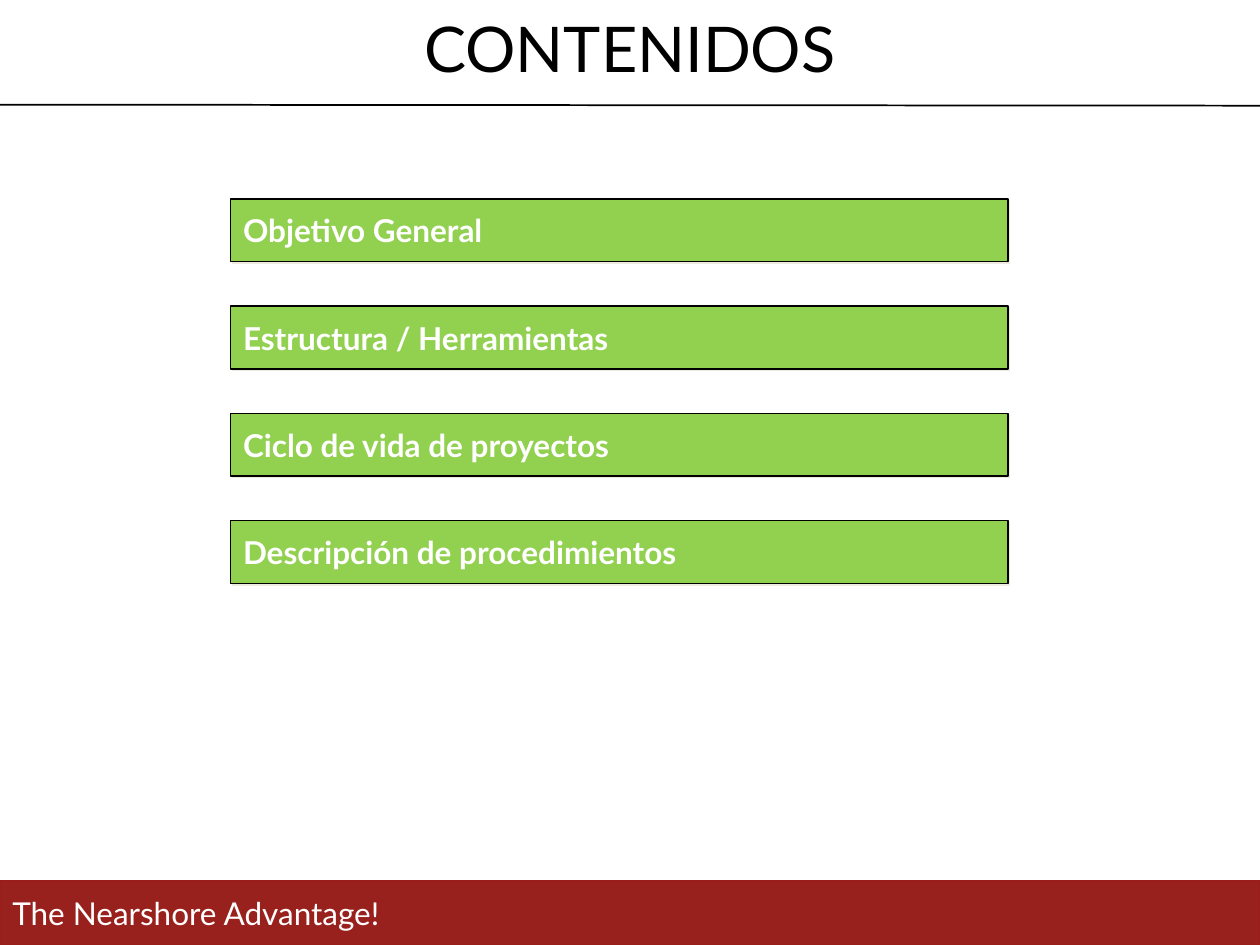
from dataclasses import dataclass

from lxml import etree
from pptx import Presentation, util as u
from pptx.dml.color import RGBColor
from pptx.enum import shapes, text
from pptx.oxml.ns import qn


@dataclass(frozen=True)
class Theme:
    """Colours, font and type sizes of the slide."""
    font: str = "Lato"
    black: str = "000000"
    white: str = "FFFFFF"
    green: str = "92D050"
    red: str = "99211D"
    red_line: str = "991D19"
    bar_shadow: str = "EEECE1"
    footer_shadow: str = "808080"
    title_size: int = 36
    body_size: int = 18


THEME = Theme()
TOPICS = [
    "Objetivo General",
    "Estructura / Herramientas",
    "Ciclo de vida de proyectos",
    "Descripción de procedimientos",
]


def set_text(sp, content, size=THEME.body_size, color=THEME.white, bold=False,
             align=text.PP_ALIGN.LEFT):
    """Write one formatted, vertically centred paragraph in a shape."""
    tf = sp.text_frame
    tf.word_wrap = True
    tf.auto_size = text.MSO_AUTO_SIZE.NONE
    tf.vertical_anchor = text.MSO_ANCHOR.MIDDLE
    p = tf.paragraphs[0]
    p.alignment = align
    r = p.add_run()
    r.text = content
    r.font.name = THEME.font
    r.font.size = u.Pt(size)
    r.font.bold = bold
    r.font.color.rgb = RGBColor.from_string(color)


def add_shadow(sp, color, distance, angle, opacity):
    """Give a shape an unblurred outer shadow."""
    sp.shadow.inherit = False
    effects = sp._element.spPr.find(qn("a:effectLst"))
    shadow = etree.SubElement(effects, qn("a:outerShdw"), dist=str(u.Pt(distance)),
                              dir=str(angle * 60000), rotWithShape="0")
    clr = etree.SubElement(shadow, qn("a:srgbClr"), val=color)
    etree.SubElement(clr, qn("a:alpha"), val=str(opacity * 1000))


def add_bar(s, left, top, width, height, fill, line):
    """Add a filled and outlined rectangle."""
    sp = s.shapes.add_shape(shapes.MSO_SHAPE.RECTANGLE, u.Cm(left), u.Cm(top),
                            u.Cm(width), u.Cm(height))
    sp.fill.solid()
    sp.fill.fore_color.rgb = RGBColor.from_string(fill)
    sp.line.color.rgb = RGBColor.from_string(line)
    sp.line.width = u.Pt(0.75)
    return sp


def add_rule(s, x1, y1, x2, y2):
    """Add a thin black line without a shadow."""
    line = s.shapes.add_connector(shapes.MSO_CONNECTOR.STRAIGHT, u.Cm(x1), u.Cm(y1),
                                  u.Cm(x2), u.Cm(y2))
    line.line.color.rgb = RGBColor.from_string(THEME.black)
    line.line.width = u.Pt(1)
    etree.SubElement(line._element.spPr, qn("a:effectLst"))


def add_title(s, content):
    """Place and fill the title placeholder."""
    title = s.shapes.title
    title.left, title.top = u.Cm(0), u.Cm(0)
    title.width, title.height = u.Cm(25.4), u.Cm(1.9)
    set_text(title, content, size=THEME.title_size, color=THEME.black,
             align=text.PP_ALIGN.CENTER)


def main():
    """Build the contents slide."""
    prs = Presentation()
    prs.slide_width, prs.slide_height = u.Cm(25.4), u.Cm(19.05)
    s = prs.slides.add_slide(prs.slide_layouts[5])
    add_rule(s, 0, 2.11, 25.4, 2.13)
    footer = add_bar(s, 0, 17.76, 25.4, 1.29, THEME.red, THEME.red_line)
    add_shadow(footer, THEME.footer_shadow, 1.8, 90, 35)
    set_text(footer, "The Nearshore Advantage!")
    add_title(s, "CONTENIDOS")
    for i, topic in enumerate(TOPICS):
        bar = add_bar(s, 4.65, 4.01 + 2.16 * i, 15.67, 1.27, THEME.green, THEME.black)
        add_shadow(bar, THEME.bar_shadow, 1.4, 45, 100)
        set_text(bar, topic, bold=True)
    prs.save("out.pptx")


if __name__ == "__main__":
    main()
